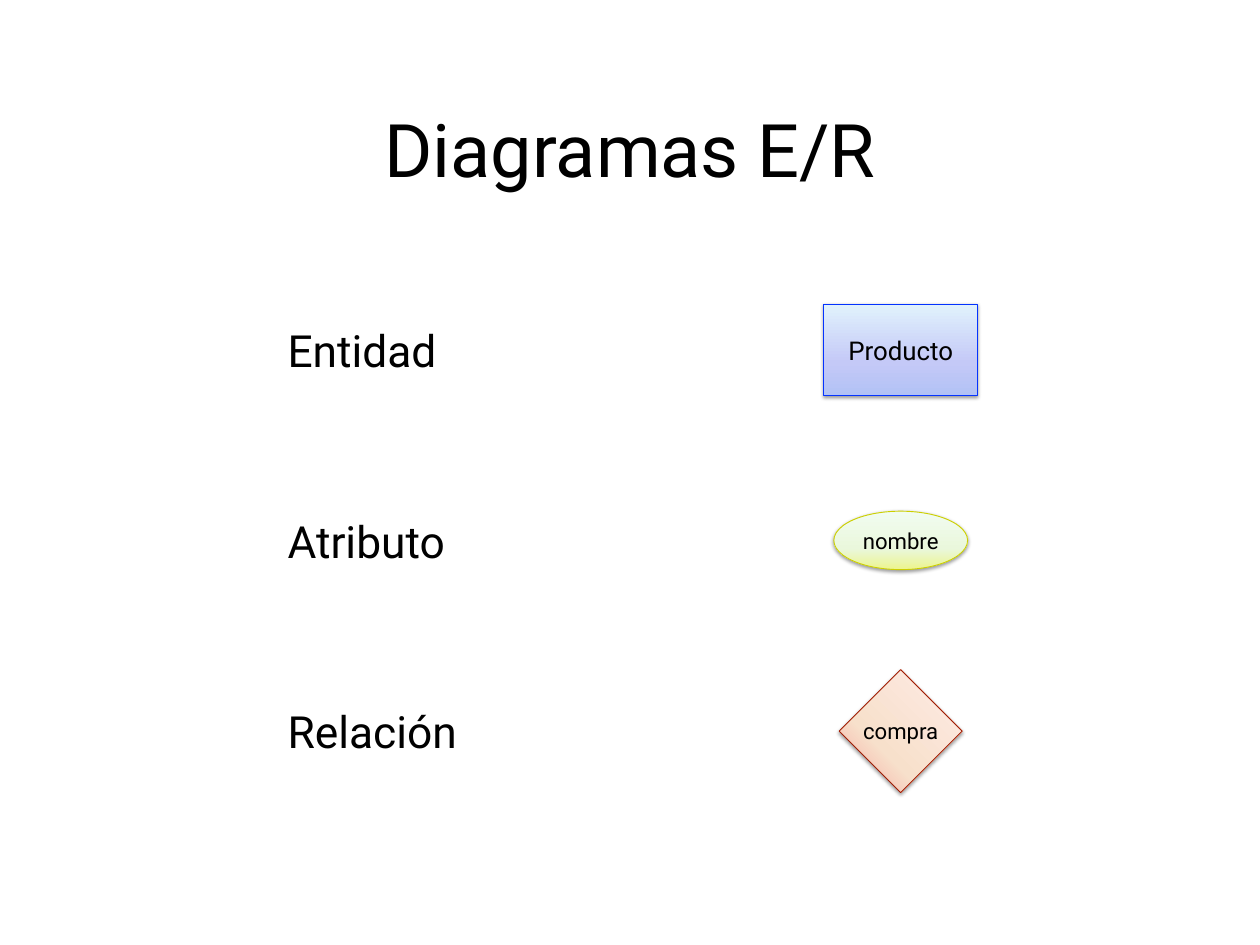
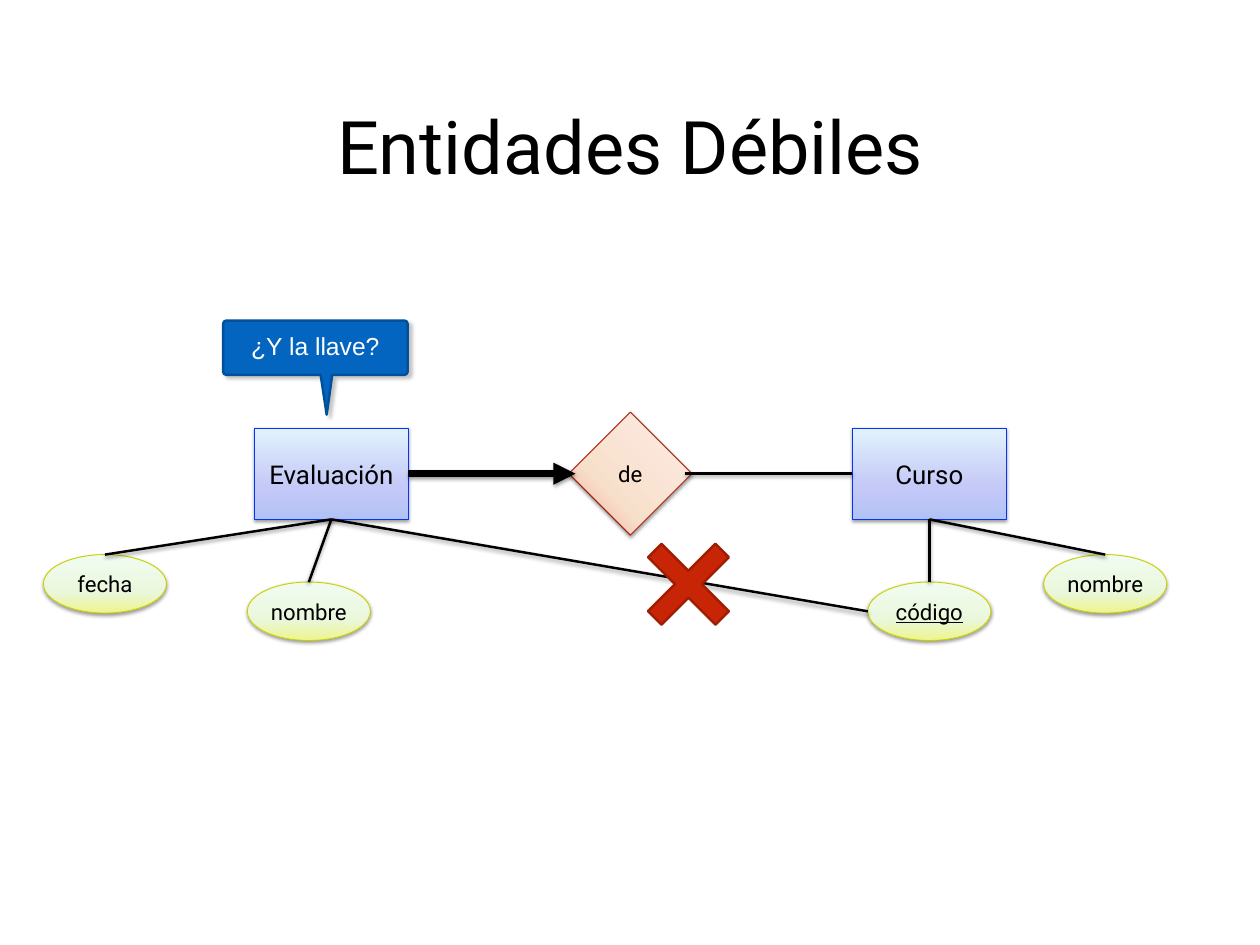
from dataclasses import dataclass

from lxml import etree
from pptx import Presentation
from pptx.dml.color import RGBColor
from pptx.enum import shapes, text
from pptx.oxml import ns
from pptx.util import Pt

BLACK = RGBColor(0x00, 0x00, 0x00)
WHITE = RGBColor(0xFF, 0xFF, 0xFF)
ENTITY_LINE = RGBColor(0x04, 0x33, 0xFF)
ATTRIBUTE_LINE = RGBColor(0xCC, 0xCF, 0x00)
RED_LINE = RGBColor(0xA0, 0x1D, 0x04)
CROSS_FILL = RGBColor(0xC8, 0x25, 0x06)
CALLOUT_FILL = RGBColor(0x03, 0x65, 0xC0)
CALLOUT_LINE = RGBColor(0x02, 0x50, 0x99)
ENTITY_STOPS = ((0, RGBColor(0xB2, 0xC2, 0xF5)), (36, RGBColor(0xC4, 0xC9, 0xF7)),
                (100, RGBColor(0xE1, 0xF2, 0xFC)))
ATTRIBUTE_STOPS = ((0, RGBColor(0xEC, 0xF5, 0x8E)), (36, RGBColor(0xEA, 0xF7, 0xDC)),
                   (100, RGBColor(0xF1, 0xFC, 0xF1)))
RELATION_STOPS = ((0, RGBColor(0xF5, 0xA0, 0x9A)), (35, RGBColor(0xF7, 0xE0, 0xCB)),
                  (100, RGBColor(0xFF, 0xEB, 0xE7)))

SLIDE_W, SLIDE_H = 1024, 768
FONT = "Roboto"


@dataclass(frozen=True)
class Style:
    """Look of one kind of E/R symbol."""
    preset: shapes.MSO_SHAPE
    w: float
    h: float
    size: float
    stops: tuple
    angle: int
    line: RGBColor


@dataclass(frozen=True)
class Node:
    """A symbol placed by its centre."""
    label: str
    style: Style
    x: float
    y: float
    underline: bool = False

    def port(self, dx: float, dy: float, inset: float = 0) -> tuple[float, float]:
        """Point on the edge, in the direction dx, dy."""
        return (self.x + dx * (self.style.w / 2 - inset),
                self.y + dy * (self.style.h / 2 - inset))


ENTITY = Style(shapes.MSO_SHAPE.RECTANGLE, 125.3, 74.2, 21, ENTITY_STOPS, 270, ENTITY_LINE)
ATTRIBUTE = Style(shapes.MSO_SHAPE.OVAL, 100, 47.5, 18, ATTRIBUTE_STOPS, 270, ATTRIBUTE_LINE)
WIDE_ATTRIBUTE = Style(shapes.MSO_SHAPE.OVAL, 108.7, 47.5, 18, ATTRIBUTE_STOPS, 270,
                       ATTRIBUTE_LINE)
RELATION = Style(shapes.MSO_SHAPE.DIAMOND, 100, 100, 18, RELATION_STOPS, 315, RED_LINE)


# Formatting helpers
def sub(parent, tag: str, **attrs):
    return etree.SubElement(parent, ns.qn(tag),
                            {key: str(value) for key, value in attrs.items()})


def set_effect(sp, alpha: int = 38, dist: float = 1.6, angle: int = 90) -> None:
    """Add the soft shadow; alpha 0 gives none. Call after the line is set."""
    effects = sub(sp._element.spPr, "a:effectLst")
    if alpha:
        shadow = sub(effects, "a:outerShdw", blurRad=Pt(3), dist=Pt(dist),
                     dir=angle * 60000, rotWithShape=0)
        sub(sub(shadow, "a:srgbClr", val=BLACK), "a:alpha", val=alpha * 1000)


def set_gradient(sp, stops: tuple, angle: int) -> None:
    sp.fill.gradient()
    grad = sp._element.spPr.find(ns.qn("a:gradFill"))
    for child in list(grad):
        grad.remove(child)
    stop_list = sub(grad, "a:gsLst")
    for position, color in stops:
        sub(sub(stop_list, "a:gs", pos=position * 1000), "a:srgbClr", val=color)
    sub(grad, "a:lin", ang=angle * 60000, scaled=0)


def set_line(sp, color: RGBColor, width: float) -> None:
    sp.line.color.rgb = color
    sp.line.width = Pt(width)


def set_text(sp, content: str, *, size: float, font: str = FONT, color: RGBColor = BLACK,
             align=text.PP_ALIGN.CENTER, underline: bool = False, wrap: bool = False,
             inset: float = 0, bottom: float = 0) -> None:
    tf = sp.text_frame
    tf.word_wrap = wrap
    tf.vertical_anchor = text.MSO_ANCHOR.MIDDLE
    tf.margin_left = tf.margin_right = tf.margin_top = Pt(inset)
    tf.margin_bottom = Pt(bottom or inset)
    p = tf.paragraphs[0]
    p.alignment = align
    r = p.add_run()
    r.text = content
    r.font.name, r.font.size, r.font.color.rgb = font, Pt(size), color
    if underline:
        r.font.underline = True


# Drawing functions
def add_label(slide, content: str, x: float, y: float, w: float, h: float, size: float,
              align=text.PP_ALIGN.LEFT) -> None:
    sp = slide.shapes.add_textbox(Pt(x), Pt(y), Pt(w), Pt(h))
    set_text(sp, content, size=size, align=align, wrap=True, inset=4)


def add_titled_slide(prs, title: str, top: float):
    slide = prs.slides.add_slide(prs.slide_layouts[6])
    w = 716
    add_label(slide, title, (SLIDE_W - w) / 2, top, w, 78.5, 60, text.PP_ALIGN.CENTER)
    return slide


def add_node(slide, node: Node) -> None:
    style = node.style
    sp = slide.shapes.add_shape(style.preset, Pt(node.x - style.w / 2),
                                Pt(node.y - style.h / 2), Pt(style.w), Pt(style.h))
    set_gradient(sp, style.stops, style.angle)
    set_line(sp, style.line, 0.75)
    set_effect(sp)
    set_text(sp, node.label, size=style.size, underline=node.underline)


def add_link(slide, start: tuple, end: tuple, width: float = 2, arrow: bool = False) -> None:
    sp = slide.shapes.add_connector(shapes.MSO_CONNECTOR.STRAIGHT,
                                    *(Pt(v) for v in (*start, *end)))
    set_line(sp, BLACK, width)
    if arrow:
        sub(sp.line._get_or_add_ln(), "a:tailEnd", type="triangle")
    set_effect(sp)


def add_callout(slide, content: str) -> None:
    left, top, right, bottom, cut = 181.4, 260.6, 331.2, 304.6, 0.7
    r = 2.3
    outline = [(left + r, top), (left + cut, top + cut), (left, top + r),
               (left, bottom - r), (left + cut, bottom - cut), (left + r, bottom),
               (260.6, bottom), (265.5, 337), (270, bottom),
               (right - r, bottom), (right - cut, bottom - cut), (right, bottom - r),
               (right, top + r), (right - cut, top + cut), (right - r, top)]
    points = [(Pt(x), Pt(y)) for x, y in outline]
    builder = slide.shapes.build_freeform(*points[0])
    builder.add_line_segments(points[1:], close=True)
    sp = builder.convert_to_shape()
    sp.fill.solid()
    sp.fill.fore_color.rgb = CALLOUT_FILL
    set_line(sp, CALLOUT_LINE, 2)
    set_effect(sp, alpha=24, dist=3.3, angle=44)
    set_text(sp, content, size=20, font="Arial", color=WHITE, bottom=36)


def add_cross(slide, x: float, y: float, size: float) -> None:
    sp = slide.shapes.add_shape(shapes.MSO_SHAPE.CROSS, Pt(x - size / 2), Pt(y - size / 2),
                                Pt(size), Pt(size))
    sp.adjustments[0] = 0.4
    sp.rotation = 45
    sp.fill.solid()
    sp.fill.fore_color.rgb = CROSS_FILL
    set_line(sp, RED_LINE, 2)
    set_effect(sp, alpha=0)


# Slides
def build_symbols(prs) -> None:
    slide = add_titled_slide(prs, "Diagramas E/R", 80.6)
    rows = (("Entidad", "Producto", ENTITY), ("Atributo", "nombre", WIDE_ATTRIBUTE),
            ("Relación", "compra", RELATION))
    for i, (name, example, style) in enumerate(rows):
        y = 284.2 + 155 * i
        add_label(slide, name, 229.7, y - 26, 360.7, 52, 36)
        add_node(slide, Node(example, style, 732, y))


def build_weak_entities(prs) -> None:
    slide = add_titled_slide(prs, "Entidades Débiles", 78.5)
    evaluation = Node("Evaluación", ENTITY, 269.3, 385)
    of = Node("de", RELATION, 512.3, 385)
    course = Node("Curso", ENTITY, 755.3, 385)
    date = Node("fecha", ATTRIBUTE, 85.3, 474.5)
    test_name = Node("nombre", ATTRIBUTE, 251, 496.8)
    code = Node("código", ATTRIBUTE, 755.3, 496.8, underline=True)
    course_name = Node("nombre", ATTRIBUTE, 898.2, 474.5)
    for node in (evaluation, of, course, date, test_name, code, course_name):
        add_node(slide, node)

    # Relation and attribute links
    add_link(slide, evaluation.port(1, 0), of.port(-1, 0, 5.5), width=6, arrow=True)
    add_link(slide, of.port(1, 0, 5.5), course.port(-1, 0))
    for owner, attribute in ((evaluation, date), (evaluation, test_name),
                             (course, course_name), (course, code)):
        add_link(slide, owner.port(0, 1), attribute.port(0, -1))

    # Missing key: question and rejected link
    add_callout(slide, "¿Y la llave?")
    add_link(slide, evaluation.port(0, 1), code.port(-1, 0))
    add_cross(slide, 559.5, 474.8, 77.4)


def main() -> None:
    prs = Presentation()
    prs.slide_width, prs.slide_height = Pt(SLIDE_W), Pt(SLIDE_H)
    build_symbols(prs)
    build_weak_entities(prs)
    prs.save("out.pptx")


if __name__ == "__main__":
    main()
